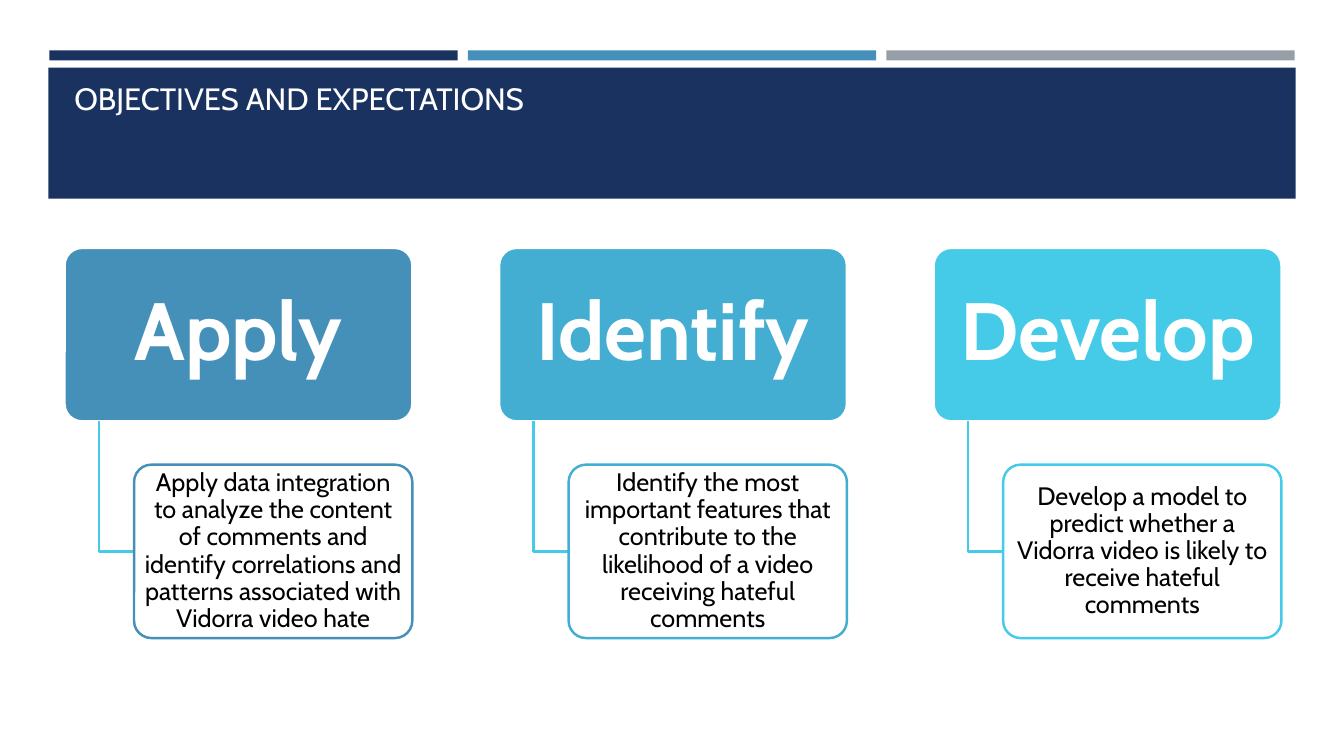
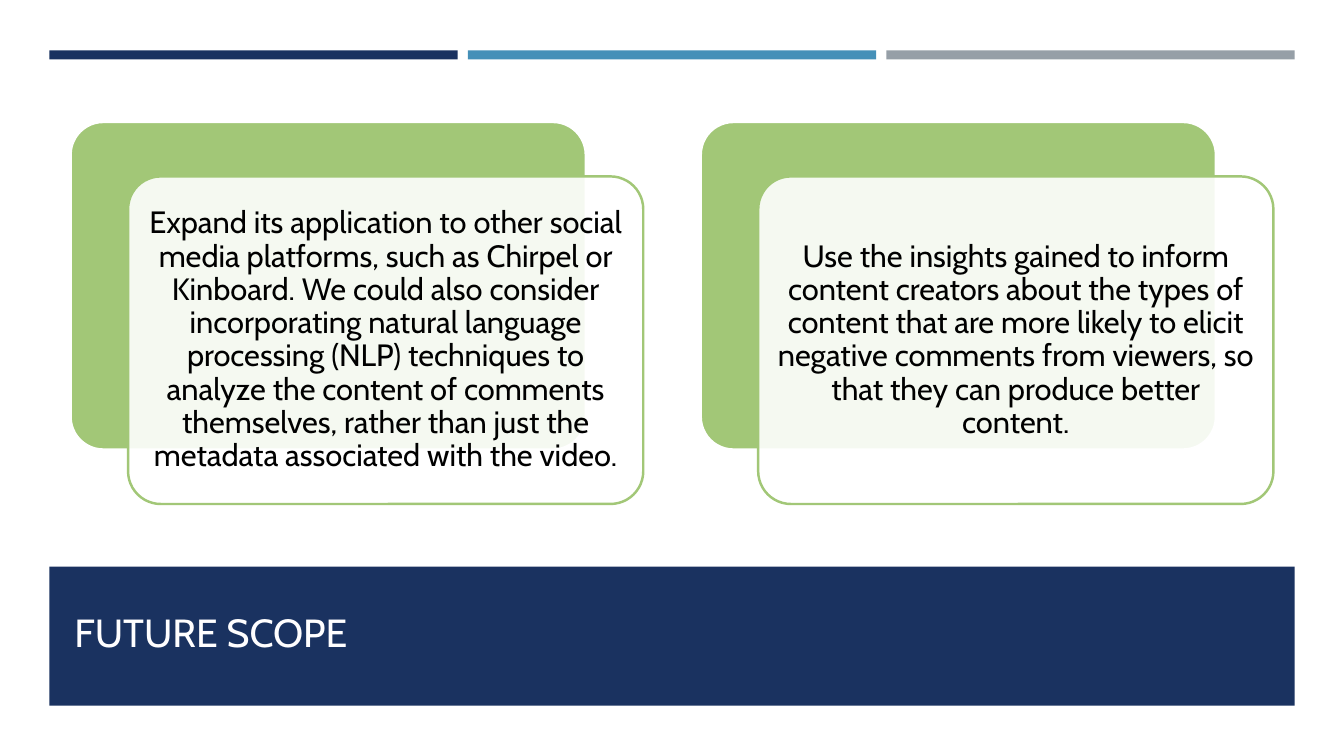
from lxml import etree
from pptx import Presentation
from pptx.dml.color import RGBColor
from pptx.enum.shapes import MSO_SHAPE
from pptx.enum.text import MSO_ANCHOR, PP_ALIGN
from pptx.oxml.ns import qn
from pptx.util import Pt

RECT, ROUND = MSO_SHAPE.RECTANGLE, MSO_SHAPE.ROUNDED_RECTANGLE
TOP, MIDDLE, BOTTOM = MSO_ANCHOR.TOP, MSO_ANCHOR.MIDDLE, MSO_ANCHOR.BOTTOM
LEFT, CENTER = PP_ALIGN.LEFT, PP_ALIGN.CENTER

PX = 9144
FONT = "Cabin"
COLORS = {
    "navy": "1A3260",
    "blue": "4590B8",
    "gray": "969FA7",
    "sky": "43ADD2",
    "cyan": "45CBE8",
    "green": "A2C777",
    "white": "FFFFFF",
    "title": "FFFEFF",
    "black": "000000",
}
BARS = ["navy", "blue", "gray"]

GOALS = [
    ("Apply", "blue",
     "Apply data integration to analyze the content of comments and identify "
     "correlations and patterns associated with Vidorra video hate"),
    ("Identify", "sky",
     "Identify the most important features that contribute to the likelihood "
     "of a video receiving hateful comments"),
    ("Develop", "cyan",
     "Develop a model to predict whether a Vidorra video is likely to receive "
     "hateful comments"),
]
PLANS = [
    "Expand its application to other social media platforms, such as Chirpel "
    "or Kinboard. We could also consider incorporating natural language "
    "processing (NLP) techniques to analyze the content of comments "
    "themselves, rather than just the metadata associated with the video.",
    "Use the insights gained to inform content creators about the types of "
    "content that are more likely to elicit negative comments from viewers, "
    "so that they can produce better content.",
]


def color(name):
    return RGBColor.from_string(COLORS[name])


def scale(*sizes):
    return [size * PX for size in sizes]


def write(shape, text, size, hue, pad, anchor=MIDDLE, align=CENTER,
          bold=False, lead=0.9):
    frame = shape.text_frame
    frame.word_wrap = True
    frame.vertical_anchor = anchor
    side, edge = scale(*pad)
    frame.margin_left = frame.margin_right = side
    frame.margin_top = frame.margin_bottom = edge
    para = frame.paragraphs[0]
    para.alignment = align
    para.line_spacing = lead
    run = para.add_run()
    run.text = text
    run.font.name = FONT
    run.font.size = Pt(size)
    run.font.bold = bold
    run.font.color.rgb = color(hue)


def add_box(slide, kind, box, fill, line=None, alpha=None):
    shape = slide.shapes.add_shape(kind, *scale(*box))
    shape.shadow.inherit = False
    shape.fill.solid()
    shape.fill.fore_color.rgb = color(fill)
    if alpha:
        tint = shape._element.spPr.find(qn("a:solidFill"))[0]
        etree.SubElement(tint, qn("a:alpha"), val=str(alpha * 1000))
    if line:
        shape.line.color.rgb = color(line)
        shape.line.width = Pt(1.75)
    else:
        shape.line.fill.background()
    if kind == ROUND:
        shape.adjustments[0] = 0.1
    return shape


def add_elbow(slide, left, top, right, low):
    path = slide.shapes.build_freeform(left, top, scale=PX)
    path.add_line_segments([(left, low), (right, low)], close=False)
    elbow = path.convert_to_shape()
    elbow.shadow.inherit = False
    elbow.fill.background()
    elbow.line.color.rgb = color("cyan")
    elbow.line.width = Pt(1.75)


def add_base(deck, bar, band, title, box, size, anchor, lead):
    slide = deck.slides.add_slide(deck.slide_layouts[6])
    for i, hue in enumerate(BARS):
        add_box(slide, RECT, (49 + 415 * i, 50, 405, bar), hue)
    add_box(slide, RECT, band, "navy")
    text = slide.shapes.add_textbox(*scale(*box))
    write(text, title, size, "title", (10, 5), anchor, LEFT, lead=lead)
    return slide


def add_goals(deck):
    slide = add_base(deck, 10, (48, 67, 1237, 130),
                     "OBJECTIVES AND EXPECTATIONS",
                     (64, 78, 1206, 111), 22, TOP, 0.9)
    top, low, high = 246, 461, 172
    for i, (head, hue, body) in enumerate(GOALS):
        left = 64 + 431 * i
        inner = left + 69
        card = add_box(slide, ROUND, (left, top, 345, high), hue, "white")
        write(card, head, 58, "white", (12, 8), bold=True)
        add_elbow(slide, left + 34, top + high, inner, low + high // 2)
        note = add_box(slide, ROUND, (inner, low, 276, high),
                       "white", hue, 90)
        write(note, body, 18, "black", (4, 3))


def add_plans(deck):
    slide = add_base(deck, 9, (49, 562, 1235, 138), "FUTURE SCOPE",
                     (64, 576, 1206, 79), 28, BOTTOM, 1.0)
    wide, high = 511, 325
    for i, body in enumerate(PLANS):
        left, top = 70 + 625 * i, 121
        add_box(slide, ROUND, (left, top, wide, high), "green", "white")
        note = add_box(slide, ROUND, (left + 57, top + 54, wide, high),
                       "white", "green", 90)
        write(note, body, 22, "black", (9, 9))


def main():
    deck = Presentation()
    deck.slide_width, deck.slide_height = scale(1333, 750)
    add_goals(deck)
    add_plans(deck)
    deck.save("out.pptx")


if __name__ == "__main__":
    main()
